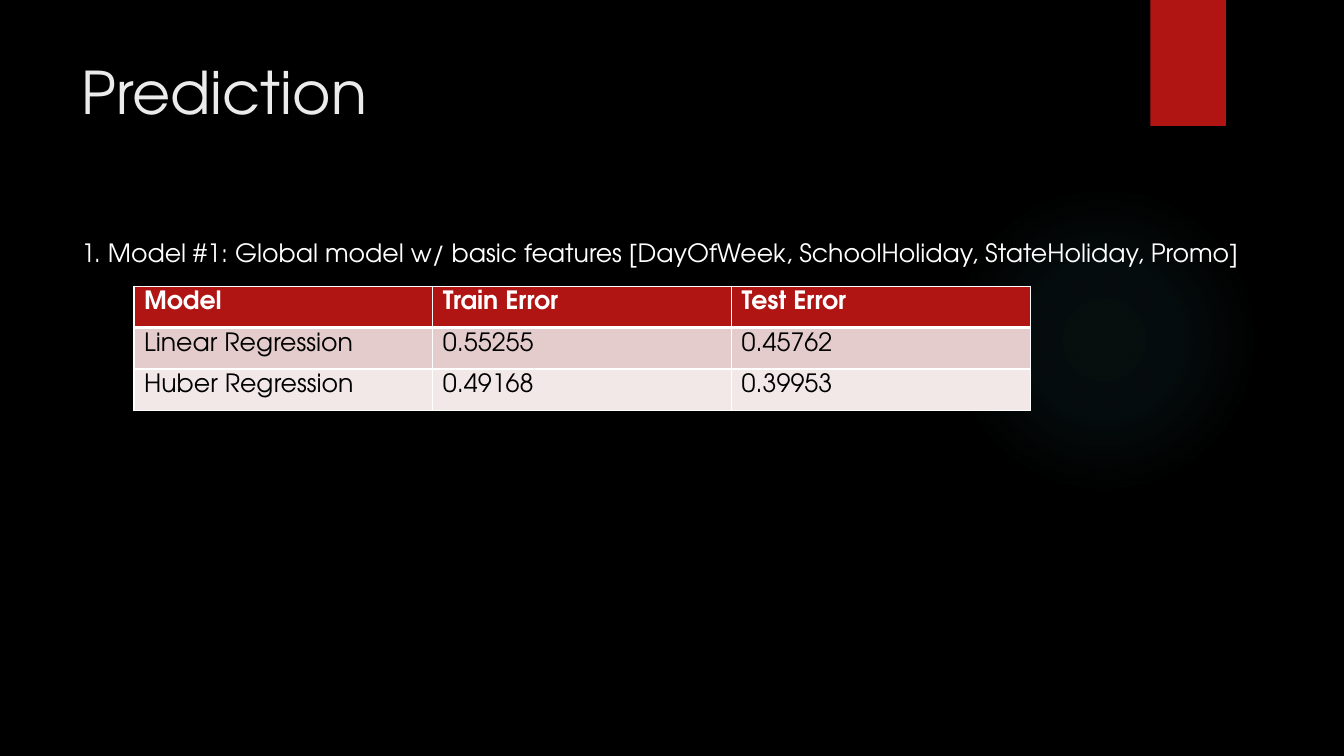
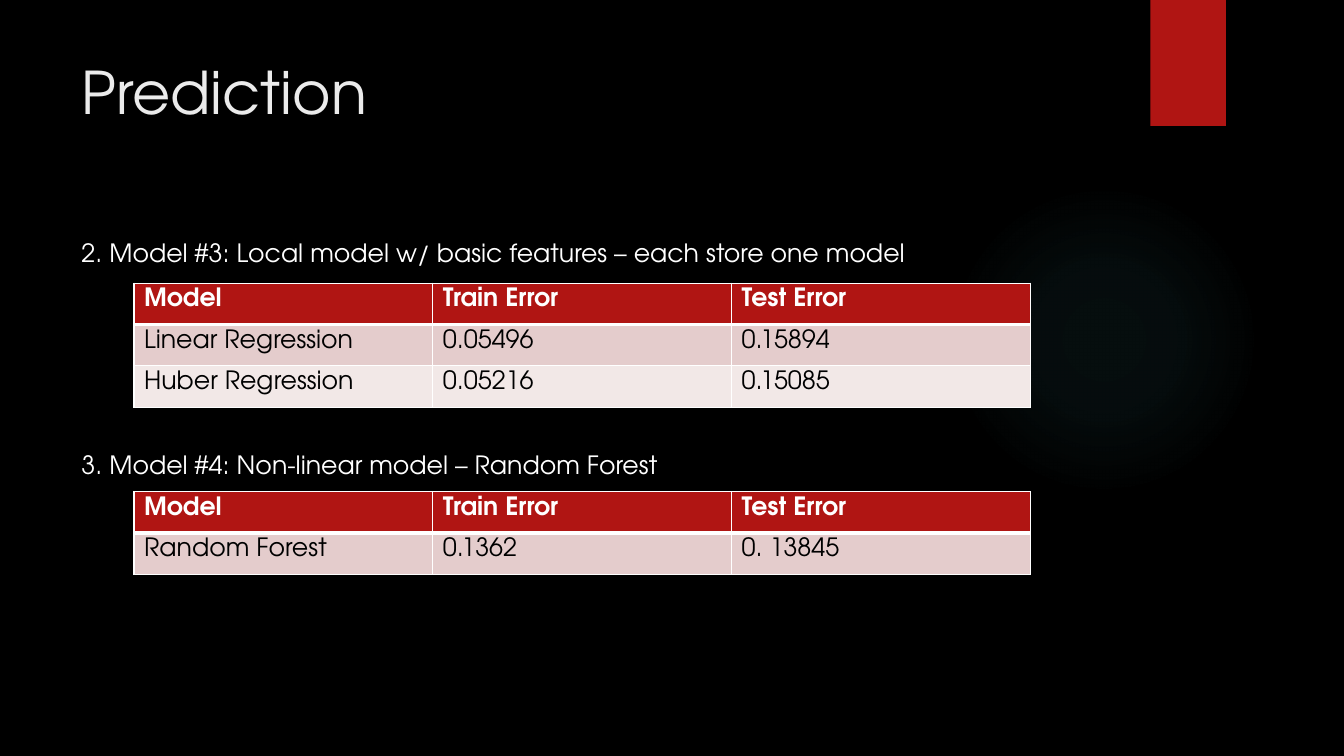
from collections import namedtuple

from lxml import etree
from pptx import Presentation
from pptx.dml.color import RGBColor
from pptx.enum.shapes import MSO_SHAPE
from pptx.enum.text import MSO_ANCHOR, MSO_AUTO_SIZE, PP_ALIGN
from pptx.oxml import parse_xml
from pptx.oxml.ns import nsdecls, qn
from pptx.util import Inches, Pt

OVAL = MSO_SHAPE.OVAL
RECTANGLE = MSO_SHAPE.RECTANGLE
TOP = MSO_ANCHOR.TOP
LEFT = PP_ALIGN.LEFT
NO_AUTOFIT = MSO_AUTO_SIZE.NONE
TITLE_ONLY = 5

FONT = "TeX Gyre Adventor"
COLORS = {
    "background": "000000",
    "title": "EBEBEB",
    "light": "FFFFFF",
    "dark": "000000",
    "accent": "B01513",
    "odd_row": "E4CCCC",
    "even_row": "F2E8E7",
    "glow": "50B9C1",
}

# Boxes are left, top, width, height in inches
Box = namedtuple("Box", "left top width height")
GLOW_BOX = Box(9.41, 1.83, 3.08, 3.08)
RIBBON_BOX = Box(11.41, 0, 0.75, 1.25)
TITLE_BOX = Box(0.71, 0.5, 10.29, 1.53)
GLOW_STOPS = [(0, 7), (36, 6), (69, 0)]  # position and opacity in percent

CAPTION_HEIGHT = 0.4
TABLE_INDENT = 0.62
TABLE_WIDTH = 8.89
ROW_HEIGHT = 0.41
HEADINGS = ("Model", "Train Error", "Test Error")

# Each section: top of its box, gap down to its table, caption, rows
Section = namedtuple("Section", "top table_offset caption rows")
PAGES = [
    ("Prediction", [
        Section(2.31, 0.53,
                "1. Model #1: Global model w/ basic features "
                "[DayOfWeek, SchoolHoliday, StateHoliday, Promo]",
                [("Linear Regression", "0.55255", "0.45762"),
                 ("Huber Regression", "0.49168", "0.39953")]),
    ]),
    ("Prediction", [
        Section(2.31, 0.5,
                "2. Model #3: Local model w/ basic features – each store one model",
                [("Linear Regression", "0.05496", "0.15894"),
                 ("Huber Regression", "0.05216", "0.15085")]),
        Section(4.41, 0.47,
                "3. Model #4: Non-linear model – Random Forest",
                [("Random Forest", "0.1362", "0. 13845")]),
    ]),
]


def rgb(name):
    return RGBColor.from_string(COLORS[name])


def inches(box):
    return [Inches(length) for length in box]


def write(frame, text, size, color, bold=False):
    frame.text = text
    for para in frame.paragraphs:
        para.alignment = LEFT
        for span in para.runs:
            span.font.name = FONT
            span.font.size = Pt(size)
            span.font.bold = bold
            span.font.color.rgb = rgb(color)


def add_plain_shape(page, preset, box):
    shape = page.shapes.add_shape(preset, *inches(box))
    shape.shadow.inherit = False
    shape.line.fill.background()
    return shape


def add_decoration(page):
    # Soft radial glow
    glow = add_plain_shape(page, OVAL, GLOW_BOX)
    glow.fill.background()
    stops = "".join(
        f'<a:gs pos="{position * 1000}"><a:srgbClr val="{COLORS["glow"]}">'
        f'<a:alpha val="{opacity * 1000}"/></a:srgbClr></a:gs>'
        for position, opacity in GLOW_STOPS)
    gradient = parse_xml(
        f'<a:gradFill {nsdecls("a")} rotWithShape="1"><a:gsLst>{stops}</a:gsLst>'
        '<a:path path="circle"><a:fillToRect l="50000" t="50000" r="50000" '
        'b="50000"/></a:path></a:gradFill>')
    properties = glow._element.spPr
    properties.replace(properties.find(qn("a:noFill")), gradient)

    # Ribbon at the top edge
    ribbon = add_plain_shape(page, RECTANGLE, RIBBON_BOX)
    ribbon.fill.solid()
    ribbon.fill.fore_color.rgb = rgb("accent")


def place_title(page, text, box):
    title = page.shapes.title
    title.left, title.top, title.width, title.height = inches(box)
    frame = title.text_frame
    frame.auto_size = NO_AUTOFIT
    frame.vertical_anchor = TOP
    write(frame, text, 42, "title")


def add_border(cell, side, width):
    properties = cell._tc.get_or_add_tcPr()
    line = etree.SubElement(properties, qn(f"a:ln{side}"), w=str(Pt(width)))
    fill = etree.SubElement(line, qn("a:solidFill"))
    etree.SubElement(fill, qn("a:srgbClr"), val=COLORS["light"])


def add_error_table(page, rows, box):
    cells = [HEADINGS, *rows]
    table = page.shapes.add_table(len(cells), len(HEADINGS), *inches(box)).table
    table.horz_banding = False
    for column in table.columns:
        column.width = Inches(box.width / len(HEADINGS))
    for index, values in enumerate(cells):
        table.rows[index].height = Inches(ROW_HEIGHT)
        heading = index == 0
        fill = "accent" if heading else "odd_row" if index % 2 else "even_row"
        widths = {"L": 1, "R": 1, "T": 3 if index == 1 else 1, "B": 3 if heading else 1}
        for cell, value in zip(table.rows[index].cells, values):
            write(cell.text_frame, value, 18, "light" if heading else "dark", heading)
            for side, width in widths.items():
                add_border(cell, side, width)
            cell.fill.solid()
            cell.fill.fore_color.rgb = rgb(fill)


def add_section(page, section, box):
    # Caption
    caption_box = box._replace(height=CAPTION_HEIGHT)
    caption = page.shapes.add_textbox(*inches(caption_box))
    caption.text_frame.word_wrap = True
    write(caption.text_frame, section.caption, 18, "light")

    # Table of errors below it
    table_box = Box(box.left + TABLE_INDENT, box.top + section.table_offset,
                    TABLE_WIDTH, box.height - section.table_offset)
    add_error_table(page, section.rows, table_box)


def add_page(deck, title, sections):
    page = deck.slides.add_slide(deck.slide_layouts[TITLE_ONLY])
    add_decoration(page)
    place_title(page, title, TITLE_BOX)
    for section in sections:
        height = section.table_offset + ROW_HEIGHT * (len(section.rows) + 1)
        add_section(page, section, Box(0.71, section.top, 11.92, height))


def main():
    deck = Presentation()
    deck.slide_width = Inches(13.33)
    deck.slide_height = Inches(7.5)
    background = deck.slide_master.background.fill
    background.solid()
    background.fore_color.rgb = rgb("background")
    for title, sections in PAGES:
        add_page(deck, title, sections)
    deck.save("out.pptx")


if __name__ == "__main__":
    main()
